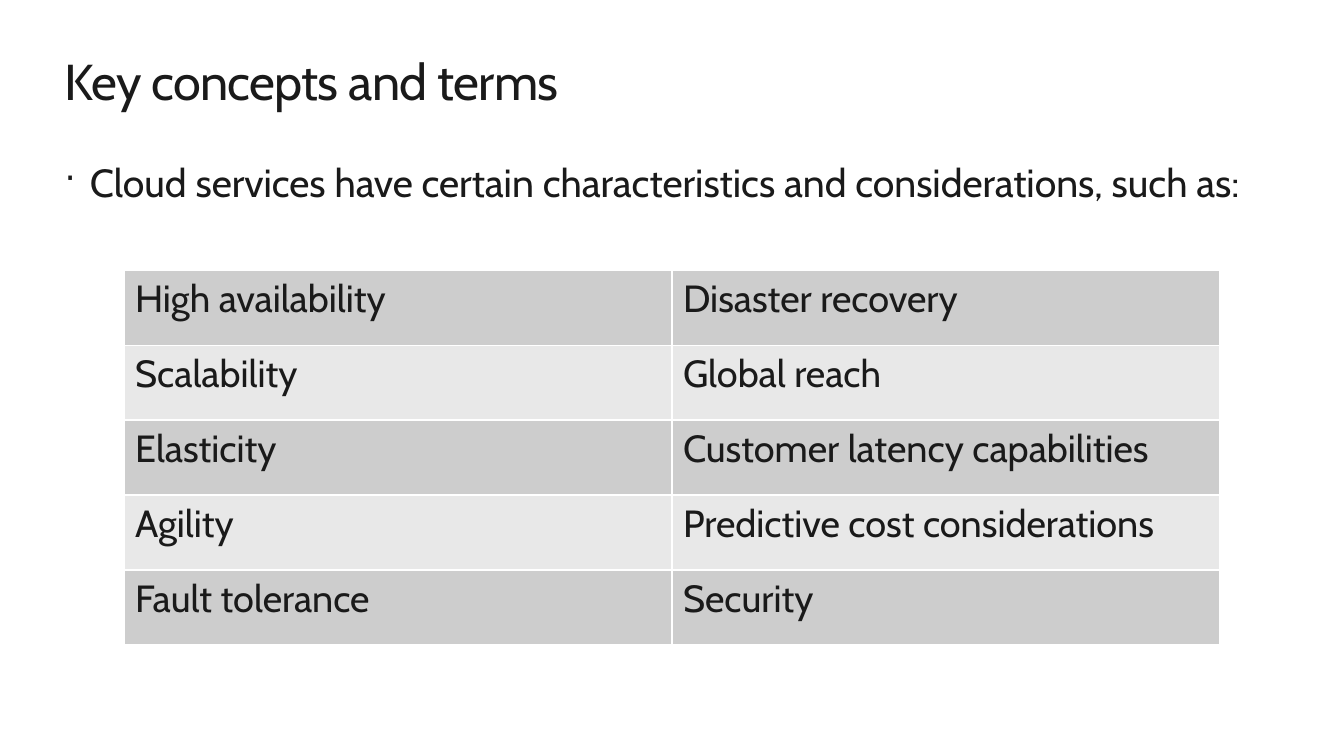
from dataclasses import dataclass

from lxml import etree
from pptx import Presentation
from pptx import util as u
from pptx.dml.color import RGBColor
from pptx.oxml import ns


@dataclass(frozen=True)
class Theme:
    font: str = "Cabin"
    ink: str = "1A1A1A"
    rule: str = "FFFFFF"
    bands: tuple = ("CDCDCD", "E8E8E8")
    title: int = 36
    body: int = 28
    cell: int = 27


theme = Theme()


def style(frame, size):
    """Format every run of a text frame."""
    for par in frame.paragraphs:
        for run in par.runs:
            run.font.name = theme.font
            run.font.size = u.Pt(size)
            run.font.color.rgb = RGBColor.from_string(theme.ink)


def add_text(top, height, words, size):
    box = slide.shapes.add_textbox(
        u.Inches(0.64), u.Inches(top), u.Inches(12.05), u.Inches(height))
    frame = box.text_frame
    frame.word_wrap = True
    frame.margin_left = frame.margin_right = 0
    frame.margin_top = frame.margin_bottom = 0
    frame.text = words
    style(frame, size)
    return frame.paragraphs[0]


deck = Presentation()
deck.slide_width = u.Inches(13.33)
deck.slide_height = u.Inches(7.5)
slide = deck.slides.add_slide(deck.slide_layouts[6])

# Title, with slightly tight letters
title = add_text(0.5, 0.61, "Key concepts and terms", theme.title)
title.runs[0].font._element.set("spc", "-50")

# Bulleted lead-in
lead = add_text(
    1.57, 0.47,
    "Cloud services have certain characteristics and considerations, such as:",
    theme.body)
props = lead._p.get_or_add_pPr()
props.set("marL", str(u.Inches(0.25)))
props.set("indent", str(-u.Inches(0.25)))
etree.SubElement(props, ns.qn("a:buSzPct"), val="90000")
etree.SubElement(props, ns.qn("a:buChar"), char="·")

# Table of characteristics
terms = [
    ("High availability", "Disaster recovery"),
    ("Scalability", "Global reach"),
    ("Elasticity", "Customer latency capabilities"),
    ("Agility", "Predictive cost considerations"),
    ("Fault tolerance", "Security"),
]
table = slide.shapes.add_table(
    len(terms), 2, u.Inches(1.23), u.Inches(2.68),
    u.Inches(10.87), u.Inches(3.72)).table
table.first_row = False
table.horz_banding = False

for row, pair in enumerate(terms):
    for col, term in enumerate(pair):
        cell = table.cell(row, col)
        cell.text = term
        style(cell.text_frame, theme.cell)
        cell.margin_left = cell.margin_right = u.Inches(0.11)
        cell.margin_top = cell.margin_bottom = u.Inches(0.06)
        edges = cell._tc.get_or_add_tcPr()
        for side in ("lnL", "lnR", "lnT", "lnB"):
            line = etree.SubElement(edges, ns.qn("a:" + side), w=str(u.Pt(1)))
            paint = etree.SubElement(line, ns.qn("a:solidFill"))
            etree.SubElement(paint, ns.qn("a:srgbClr"), val=theme.rule)
        cell.fill.solid()
        cell.fill.fore_color.rgb = RGBColor.from_string(theme.bands[row % 2])

deck.save("out.pptx")
